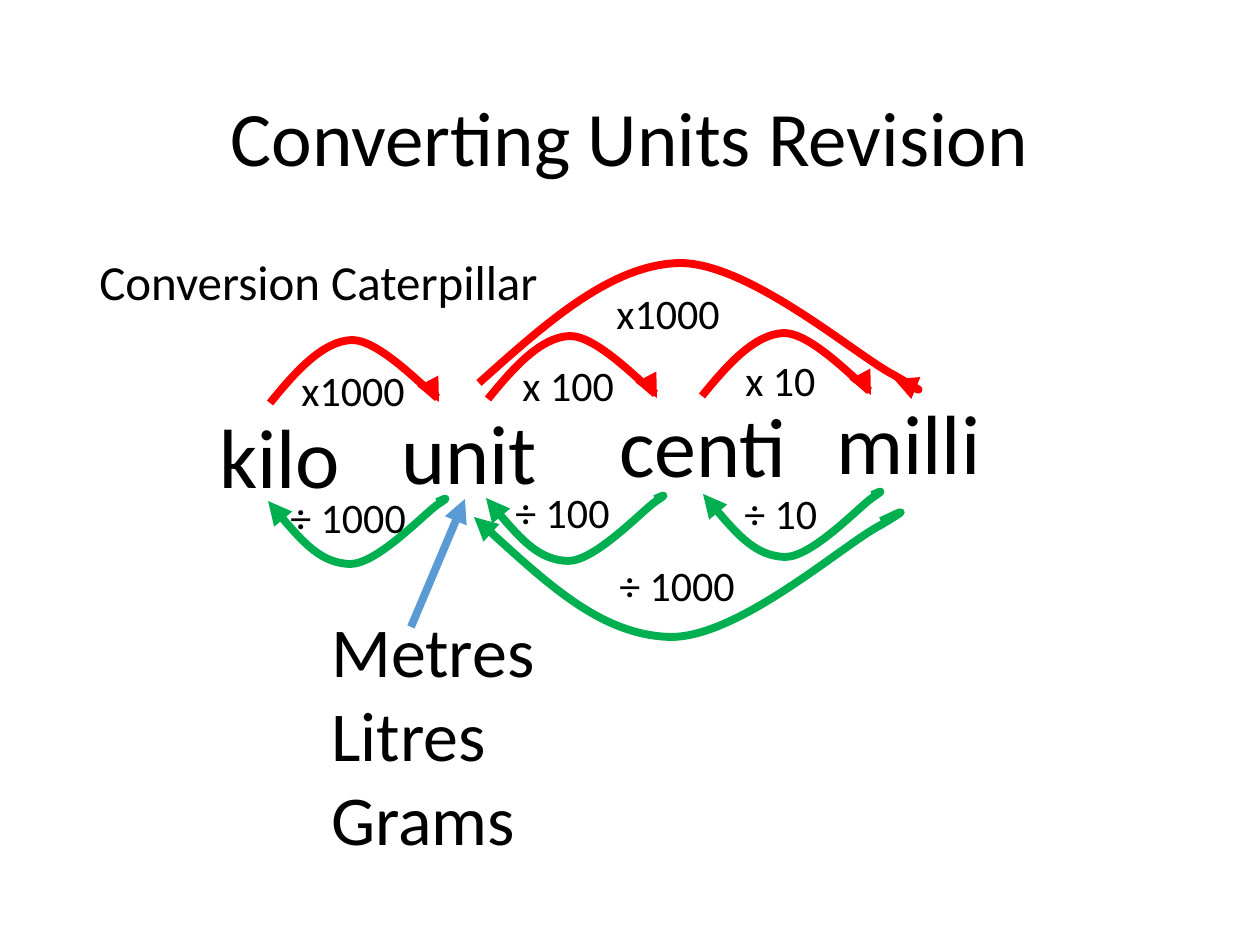
import pptx
import pptx.dml.color
import pptx.enum.shapes
import pptx.enum.text
import pptx.oxml
import pptx.oxml.ns
import pptx.util

PX = 914400 / 126
BLACK = pptx.dml.color.RGBColor(0x00, 0x00, 0x00)
RED = pptx.dml.color.RGBColor(0xFF, 0x00, 0x00)
GREEN = pptx.dml.color.RGBColor(0x00, 0xB0, 0x50)
BLUE = pptx.dml.color.RGBColor(0x5B, 0x9B, 0xD5)
NAMESPACE = pptx.oxml.ns.nsdecls("a")


def add_text(left, top, width, height, lines, size):
    box = slide.shapes.add_textbox(*[round(n * PX) for n in (left, top, width, height)])
    frame = box.text_frame
    frame.word_wrap = True
    for index, line in enumerate(lines):
        paragraph = frame.add_paragraph() if index else frame.paragraphs[0]
        run = paragraph.add_run()
        run.text = line
        run.font.name = "Calibri"
        run.font.size = pptx.util.Pt(size)
        run.font.color.rgb = BLACK
    return frame


def style_arrow(shape, color, end):
    shape.line.color.rgb = color
    shape.line.width = pptx.util.Pt(4.5)
    line = shape.line._get_or_add_ln()
    line.append(pptx.oxml.parse_xml(f'<a:{end} {NAMESPACE} type="triangle"/>'))
    line.addnext(pptx.oxml.parse_xml(f"<a:effectLst {NAMESPACE}/>"))


presentation = pptx.Presentation()
presentation.slide_width = pptx.util.Inches(10)
presentation.slide_height = pptx.util.Inches(7.5)
slide = presentation.slides.add_slide(presentation.slide_layouts[6])

# Title and subtitle
title = add_text(87, 50, 1086, 183, ["Converting Units Revision"], 44)
title.vertical_anchor = pptx.enum.text.MSO_ANCHOR.MIDDLE
title.paragraphs[0].alignment = pptx.enum.text.PP_ALIGN.CENTER
subtitle = add_text(87, 252, 1086, 598, ["Conversion Caterpillar"], 28)
for frame in (title, subtitle):
    frame.paragraphs[0].line_spacing = 0.9

# Curved arrows: Bezier points relative to the left end, three per segment
SMALL_ARC = [(26, 32), (53, 62), (82, 63), (109, 63), (155, 14), (169, 4),
             (184, -6), (176, -2), (169, 1)]
LARGE_ARC = [(66, 59), (131, 118), (200, 120), (270, 121), (379, 26), (415, 8),
             (451, -13), (433, -4), (415, 4)]
arcs = [
    (270, 403, SMALL_ARC, 1, RED), (488, 399, SMALL_ARC, 1, RED),
    (702, 396, SMALL_ARC, 1, RED), (479, 383, LARGE_ARC, 1, RED),
    (268, 501, SMALL_ARC, 1, GREEN), (486, 498, SMALL_ARC, 1, GREEN),
    (703, 494, SMALL_ARC, 1, GREEN), (474, 517, LARGE_ARC, 0.98, GREEN),
]
for left, top, offsets, stretch, color in arcs:
    direction = -1 if color == RED else 1
    builder = slide.shapes.build_freeform(left, top, scale=PX)
    builder.add_line_segments(
        [(left + x * stretch, top + direction * y) for x, y in offsets], close=False)
    arc = builder.convert_to_shape()
    arc.fill.background()
    style_arrow(arc, color, "tailEnd" if color == RED else "headEnd")

    # Turn each three line points into one cubic curve
    segments = list(arc._element.iter(pptx.oxml.ns.qn("a:lnTo")))
    for first in range(0, len(segments), 3):
        curve = pptx.oxml.parse_xml(f"<a:cubicBezTo {NAMESPACE}/>")
        segments[first].addprevious(curve)
        for segment in segments[first:first + 3]:
            curve.append(segment[0])
            segment.getparent().remove(segment)

# Unit prefixes
for left, top, width, word in [(207, 398, 179, "kilo"), (389, 394, 200, "unit"),
                               (607, 387, 209, "centi"), (824, 384, 180, "milli")]:
    add_text(left, top, width, 115, [word], 48)

# Conversion factors
factors = [
    (289, 358, 226, "x1000"), (510, 353, 149, "x 100"), (733, 348, 149, "x 10"),
    (278, 485, 226, "÷ 1000"), (503, 480, 149, "÷ 100"), (732, 481, 149, "÷ 10"),
    (604, 281, 226, "x1000"), (607, 553, 226, "÷ 1000"),
]
for left, top, width, factor in factors:
    add_text(left, top, width, 63, [factor], 24)

# Base units and their pointer
pointer = slide.shapes.add_connector(
    pptx.enum.shapes.MSO_CONNECTOR.STRAIGHT,
    *[round(n * PX) for n in (411, 627, 465, 499)])
style_arrow(pointer, BLUE, "tailEnd")
add_text(319, 601, 277, 267, ["Metres", "Litres", "Grams"], 40)

presentation.save("out.pptx")
